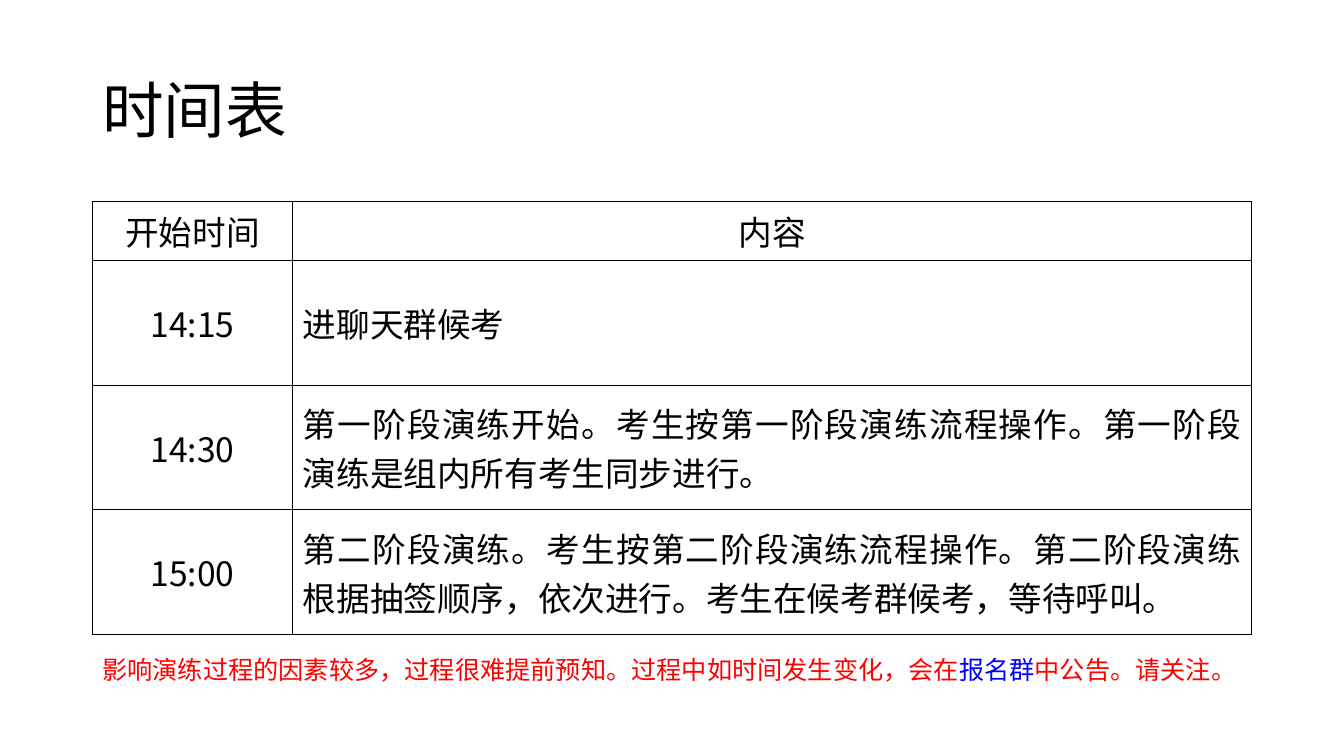
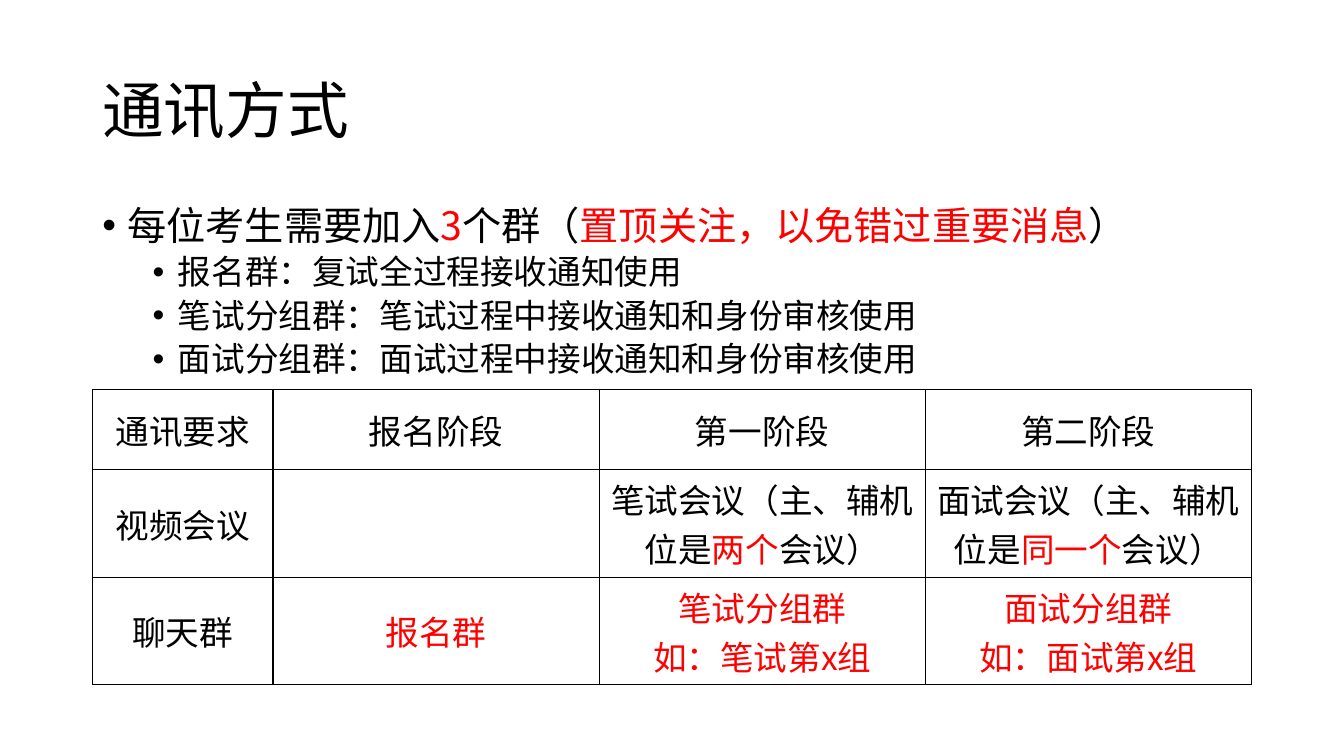
from lxml.etree import SubElement
from pptx import Presentation
from pptx.dml.color import RGBColor
from pptx.enum.text import MSO_ANCHOR as ANCHOR, PP_ALIGN as ALIGN
from pptx.oxml.ns import qn
from pptx.util import Pt

FONT = "Noto Sans CJK SC"
COLORS = {"black": "000000", "red": "FF0000", "blue": "0000FF"}
LEFT, WIDTH = 66, 828
BODY_TOP = 144
BORDERS = ("a:lnL", "a:lnR", "a:lnT", "a:lnB")
BULLETS = {
    0: {"size": 28, "indent": 18, "before": 0},
    1: {"size": 24, "indent": 54, "before": 5},
}


def set_all(obj, values):
    """Set every attribute named in a dict of format values."""
    for name, value in values.items():
        setattr(obj, name, value)


def red(text):
    """Return a red run."""
    return text, "red"


def add_runs(p, runs, size):
    """Write a string, or a list of strings and (text, colour) pairs."""
    for run in [runs] if isinstance(runs, (str, tuple)) else runs:
        text, color = (run, "black") if isinstance(run, str) else run
        r = p.add_run()
        r.text = text
        set_all(r.font, {"name": FONT, "size": Pt(size)})
        r.font.color.rgb = RGBColor.from_string(COLORS[color])
        SubElement(r.font._element, qn("a:ea"), typeface=FONT)


def add_paragraphs(tf, paragraphs, size, **fmt):
    """Fill a text frame with equally formatted paragraphs."""
    for i, runs in enumerate(paragraphs):
        p = tf.add_paragraph() if i else tf.paragraphs[0]
        set_all(p, fmt)
        add_runs(p, runs, size)


def add_box(s, top, height, anchor=ANCHOR.TOP):
    """Add a wrapping text box of full content width; return its frame."""
    sp = s.shapes.add_textbox(Pt(LEFT), Pt(top), Pt(WIDTH), Pt(height))
    tf = sp.text_frame
    set_all(tf, {"word_wrap": True, "vertical_anchor": anchor})
    return tf


def add_titled_slide(prs, title):
    """Add a blank slide with the shared title style."""
    s = prs.slides.add_slide(prs.slide_layouts[6])
    tf = add_box(s, 28.8, 104.4, ANCHOR.MIDDLE)
    add_paragraphs(tf, [title], 44, line_spacing=0.9)
    return s


def add_bullets(s, top, height, items):
    """Add a list of (level, runs) bullet paragraphs."""
    tf = add_box(s, top, height)
    for i, (level, runs) in enumerate(items):
        p = tf.add_paragraph() if i else tf.paragraphs[0]
        style = BULLETS[level]
        set_all(p, {"level": level, "line_spacing": 0.9,
                    "space_before": Pt(style["before"])})
        pPr = p._p.get_or_add_pPr()
        pPr.set("marL", str(Pt(style["indent"])))
        pPr.set("indent", str(-Pt(18)))
        SubElement(pPr, qn("a:buFont"), typeface="Arial")
        SubElement(pPr, qn("a:buChar"), char="•")
        add_runs(p, runs, style["size"])


def add_borders(cell):
    """Draw a thin black line on all four sides of a cell."""
    tcPr = cell._tc.get_or_add_tcPr()
    for i, side in enumerate(BORDERS):
        ln = tcPr.makeelement(qn(side), {"w": str(Pt(1))})
        fill = SubElement(ln, qn("a:solidFill"))
        SubElement(fill, qn("a:srgbClr"), val=COLORS["black"])
        tcPr.insert(i, ln)


def add_grid(s, top, widths, heights, rows, body_align=ALIGN.CENTER):
    """Add a bordered table; body_align applies beyond the first row and column."""
    frame = s.shapes.add_table(len(heights), len(widths), Pt(LEFT), Pt(top),
                               Pt(sum(widths)), Pt(sum(heights)))
    table = frame.table
    set_all(table, {"first_row": False, "horz_banding": False})
    for col, width in zip(table.columns, widths):
        col.width = Pt(width)
    for row, height in zip(table.rows, heights):
        row.height = Pt(height)
    for i, row in enumerate(rows):
        for j, paragraphs in enumerate(row):
            cell = table.cell(i, j)
            cell.vertical_anchor = ANCHOR.MIDDLE
            cell.fill.background()
            add_borders(cell)
            if isinstance(paragraphs, str):
                paragraphs = [paragraphs]
            align = body_align if i and j else ALIGN.CENTER
            add_paragraphs(cell.text_frame, paragraphs, 24, alignment=align)


def add_timetable(prs):
    """Build the timetable slide."""
    s = add_titled_slide(prs, "时间表")
    rows = [
        ["开始时间", "内容"],
        ["14:15", "进聊天群候考"],
        ["14:30", "第一阶段演练开始。考生按第一阶段演练流程操作。"
                  "第一阶段演练是组内所有考生同步进行。"],
        ["15:00", "第二阶段演练。考生按第二阶段演练流程操作。第二阶段演练"
                  "根据抽签顺序，依次进行。考生在候考群候考，等待呼叫。"],
    ]
    add_grid(s, BODY_TOP, [143.2, 684.8], [42.2] + [89] * 3, rows,
             ALIGN.JUSTIFY)
    note = [red("影响演练过程的因素较多，过程很难提前预知。过程中如时间发生变化，会在"),
            ("报名群", "blue"), red("中公告。请关注。")]
    add_paragraphs(add_box(s, 464, 29), [note], 18)


def add_channels(prs):
    """Build the slide on means of communication."""
    s = add_titled_slide(prs, "通讯方式")
    rows = [
        ["通讯要求", "报名阶段", "第一阶段", "第二阶段"],
        ["视频会议", [],
         [["笔试会议（主、辅机位是", red("两个"), "会议）"]],
         [["面试会议（主、辅机位是", red("同一个"), "会议）"]]],
        ["聊天群", [red("报名群")],
         [red("笔试分组群"), red("如：笔试第x组")],
         [red("面试分组群"), red("如：面试第x组")]],
    ]
    add_grid(s, 278, [129] + [233] * 3, [57.6] + [76.8] * 2, rows)
    add_bullets(s, BODY_TOP, 130, [
        (0, ["每位考生需要加入", red("3"), "个群（",
             red("置顶关注，以免错过重要消息"), "）"]),
        (1, "报名群：复试全过程接收通知使用"),
        (1, "笔试分组群：笔试过程中接收通知和身份审核使用"),
        (1, "面试分组群：面试过程中接收通知和身份审核使用"),
    ])


def main():
    """Build and save the presentation."""
    prs = Presentation()
    set_all(prs, {"slide_width": Pt(960), "slide_height": Pt(540)})
    add_timetable(prs)
    add_channels(prs)
    prs.save("out.pptx")


main()
